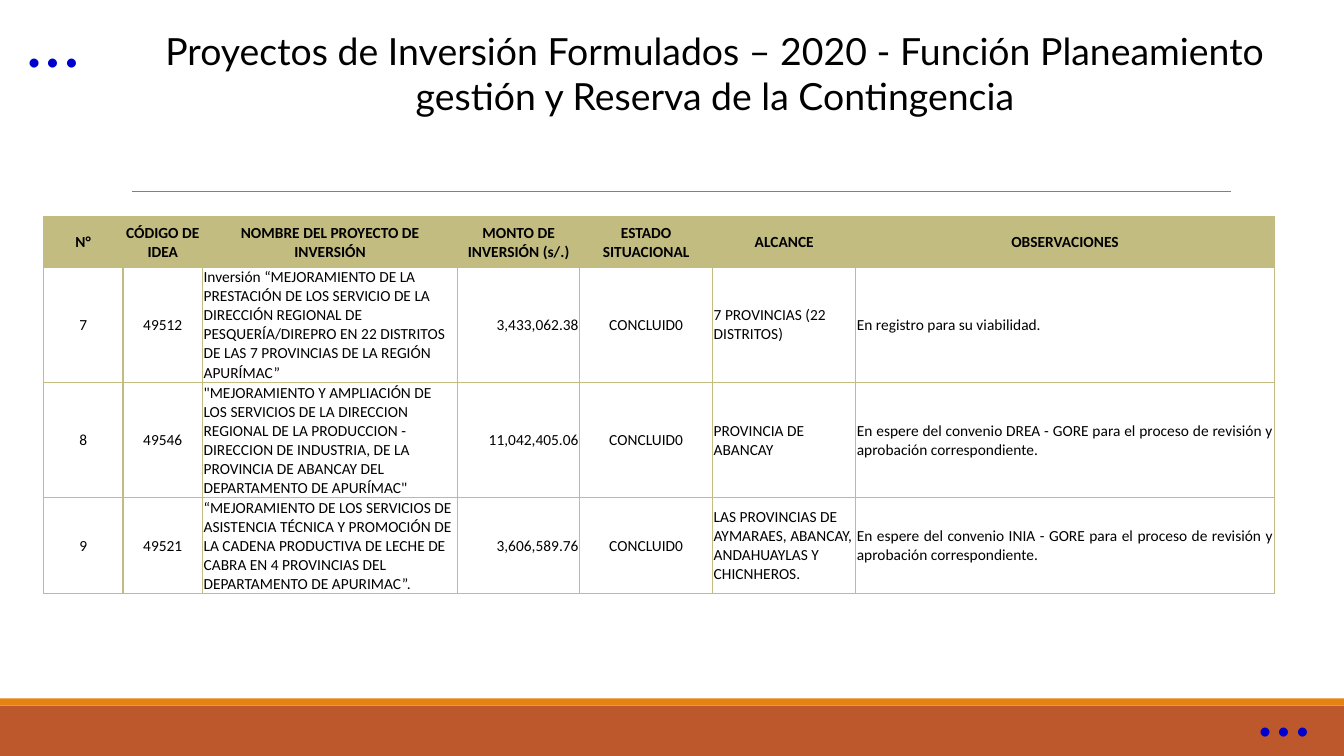
from dataclasses import dataclass

import pptx
import pptx.dml.color
import pptx.enum.shapes
import pptx.enum.text
import pptx.oxml
import pptx.oxml.ns
import pptx.slide
import pptx.table
import pptx.text.text
import pptx.util

ALIGN = pptx.enum.text.PP_ALIGN
ANCHOR = pptx.enum.text.MSO_ANCHOR
AUTO_SIZE = pptx.enum.text.MSO_AUTO_SIZE
EMU_PER_PX = 9144
COLORS = {
    "footer": "BD582C",
    "stripe": "E48312",
    "rule": "808080",
    "olive": "C2BC80",
    "text": "000000",
    "dots": "0000CC",
}


@dataclass(frozen=True)
class Band:
    top: int
    height: int
    color: str


@dataclass(frozen=True)
class TextBox:
    left: int
    top: int
    width: int
    height: int
    text: str
    font: str
    size: float
    color: str
    align: ALIGN
    anchor: ANCHOR
    inset_x: int
    inset_y: int
    auto_size: AUTO_SIZE


@dataclass(frozen=True)
class Column:
    heading: str
    width: int
    align: ALIGN


def dots(left: int, top: int) -> TextBox:
    return TextBox(left, top, 109, 100, "…", "Calibri", 53.3, "dots",
                   ALIGN.LEFT, ANCHOR.TOP, 10, 5, AUTO_SIZE.SHAPE_TO_FIT_TEXT)


BANDS = [Band(700, 50, "footer"), Band(693, 7, "stripe")]
TITLE = TextBox(
    126, 32, 1167, 85,
    "Proyectos de Inversión Formulados – 2020 - Función Planeamiento "
    "gestión y Reserva de la Contingencia",
    "Lato", 26.7, "text", ALIGN.CENTER, ANCHOR.BOTTOM, 0, 0, AUTO_SIZE.NONE)
DOTS = [dots(17, -12), dots(1238, 652)]
COLUMNS = [
    Column("N°", 79, ALIGN.CENTER),
    Column("CÓDIGO DE IDEA", 79, ALIGN.CENTER),
    Column("NOMBRE DEL PROYECTO DE INVERSIÓN", 253, ALIGN.LEFT),
    Column("MONTO DE INVERSIÓN (s/.)", 121, ALIGN.RIGHT),
    Column("ESTADO SITUACIONAL", 132, ALIGN.CENTER),
    Column("ALCANCE", 142, ALIGN.LEFT),
    Column("OBSERVACIONES", 415, ALIGN.JUSTIFY),
]
ROW_HEIGHTS = [50, 90, 90, 63]
PROJECTS = [
    ["7", "49512",
     "Inversión “MEJORAMIENTO DE LA PRESTACIÓN DE LOS SERVICIO DE LA DIRECCIÓN "
     "REGIONAL DE PESQUERÍA/DIREPRO EN 22 DISTRITOS DE LAS 7 PROVINCIAS DE LA "
     "REGIÓN APURÍMAC”",
     "3,433,062.38", "CONCLUID0", "7 PROVINCIAS (22 DISTRITOS)",
     "En registro para su viabilidad."],
    ["8", "49546",
     "\"MEJORAMIENTO Y AMPLIACIÓN DE LOS SERVICIOS DE LA DIRECCION REGIONAL DE "
     "LA PRODUCCION - DIRECCION DE INDUSTRIA, DE LA PROVINCIA DE ABANCAY DEL "
     "DEPARTAMENTO DE APURÍMAC\"",
     "11,042,405.06", "CONCLUID0", "PROVINCIA DE ABANCAY",
     "En espere del convenio DREA - GORE para el proceso de revisión y "
     "aprobación correspondiente."],
    ["9", "49521",
     "“MEJORAMIENTO DE LOS SERVICIOS DE ASISTENCIA TÉCNICA Y PROMOCIÓN DE LA "
     "CADENA PRODUCTIVA DE LECHE DE CABRA EN 4 PROVINCIAS DEL DEPARTAMENTO DE "
     "APURIMAC”.",
     "3,606,589.76", "CONCLUID0",
     "LAS PROVINCIAS DE AYMARAES, ABANCAY, ANDAHUAYLAS Y CHICNHEROS.",
     "En espere del convenio INIA - GORE para el proceso de revisión y "
     "aprobación correspondiente."],
]


def px(length: int) -> pptx.util.Emu:
    return pptx.util.Emu(length * EMU_PER_PX)


def rgb(color: str) -> pptx.dml.color.RGBColor:
    return pptx.dml.color.RGBColor.from_string(COLORS[color])


def style_paragraph(paragraph: pptx.text.text._Paragraph, font: str, size: float,
                    color: str, align: ALIGN, bold: bool = False) -> None:
    paragraph.alignment = align
    paragraph.font.name = font
    paragraph.font.size = pptx.util.Pt(size)
    paragraph.font.bold = bold
    paragraph.font.color.rgb = rgb(color)


def draw_band(slide: pptx.slide.Slide, band: Band, width: int) -> None:
    shape = slide.shapes.add_shape(pptx.enum.shapes.MSO_SHAPE.RECTANGLE,
                                   0, px(band.top), width, px(band.height))
    shape.shadow.inherit = False
    shape.fill.solid()
    shape.fill.fore_color.rgb = rgb(band.color)
    shape.line.fill.background()


def draw_rule(slide: pptx.slide.Slide, left: int, right: int, top: int) -> None:
    connector = slide.shapes.add_connector(pptx.enum.shapes.MSO_CONNECTOR.STRAIGHT,
                                           px(left), px(top), px(right), px(top))
    connector.line.color.rgb = rgb("rule")
    connector.line.width = pptx.util.Pt(0.5)
    properties = connector._element.spPr
    properties.append(properties.makeelement(pptx.oxml.ns.qn("a:effectLst"), {}))


def draw_text(slide: pptx.slide.Slide, box: TextBox) -> None:
    shape = slide.shapes.add_textbox(px(box.left), px(box.top),
                                     px(box.width), px(box.height))
    frame = shape.text_frame
    frame.word_wrap = True
    frame.auto_size = box.auto_size
    frame.vertical_anchor = box.anchor
    frame.margin_left = frame.margin_right = px(box.inset_x)
    frame.margin_top = frame.margin_bottom = px(box.inset_y)
    frame.text = box.text
    style_paragraph(frame.paragraphs[0], box.font, box.size, box.color, box.align)


def add_borders(cell: pptx.table._Cell) -> None:
    properties = cell._tc.get_or_add_tcPr()
    for side in ("lnL", "lnR", "lnT", "lnB"):
        properties.append(pptx.oxml.parse_xml(
            f'<a:{side} {pptx.oxml.ns.nsdecls("a")} w="{pptx.util.Pt(1)}"><a:solidFill>'
            f'<a:srgbClr val="{COLORS["olive"]}"/></a:solidFill></a:{side}>'))


def fill_cell(cell: pptx.table._Cell, text: str, align: ALIGN, heading: bool) -> None:
    cell.text = text
    cell.vertical_anchor = ANCHOR.MIDDLE
    cell.margin_left = cell.margin_right = cell.margin_top = px(1)
    cell.margin_bottom = 0
    add_borders(cell)
    if heading:
        cell.fill.solid()
        cell.fill.fore_color.rgb = rgb("olive")
    else:
        cell.fill.background()
    style_paragraph(cell.text_frame.paragraphs[0], "Calibri", 11, "text", align, heading)


def draw_table(slide: pptx.slide.Slide, left: int, top: int) -> None:
    width = sum(column.width for column in COLUMNS)
    table = slide.shapes.add_table(len(ROW_HEIGHTS), len(COLUMNS), px(left), px(top),
                                   px(width), px(sum(ROW_HEIGHTS))).table
    table.first_row = table.horz_banding = False
    for row, height in zip(table.rows, ROW_HEIGHTS):
        row.height = px(height)
    for index, column in enumerate(COLUMNS):
        table.columns[index].width = px(column.width)
        fill_cell(table.cell(0, index), column.heading, ALIGN.CENTER, True)
        for number, project in enumerate(PROJECTS, start=1):
            fill_cell(table.cell(number, index), project[index], column.align, False)


def main() -> None:
    presentation = pptx.Presentation()
    presentation.slide_width, presentation.slide_height = px(1333), px(750)
    slide = presentation.slides.add_slide(presentation.slide_layouts[6])
    for band in BANDS:
        draw_band(slide, band, presentation.slide_width)
    draw_rule(slide, 131, 1221, 190)
    draw_text(slide, TITLE)
    draw_table(slide, 43, 215)
    for box in DOTS:
        draw_text(slide, box)
    presentation.save("out.pptx")


if __name__ == "__main__":
    main()
